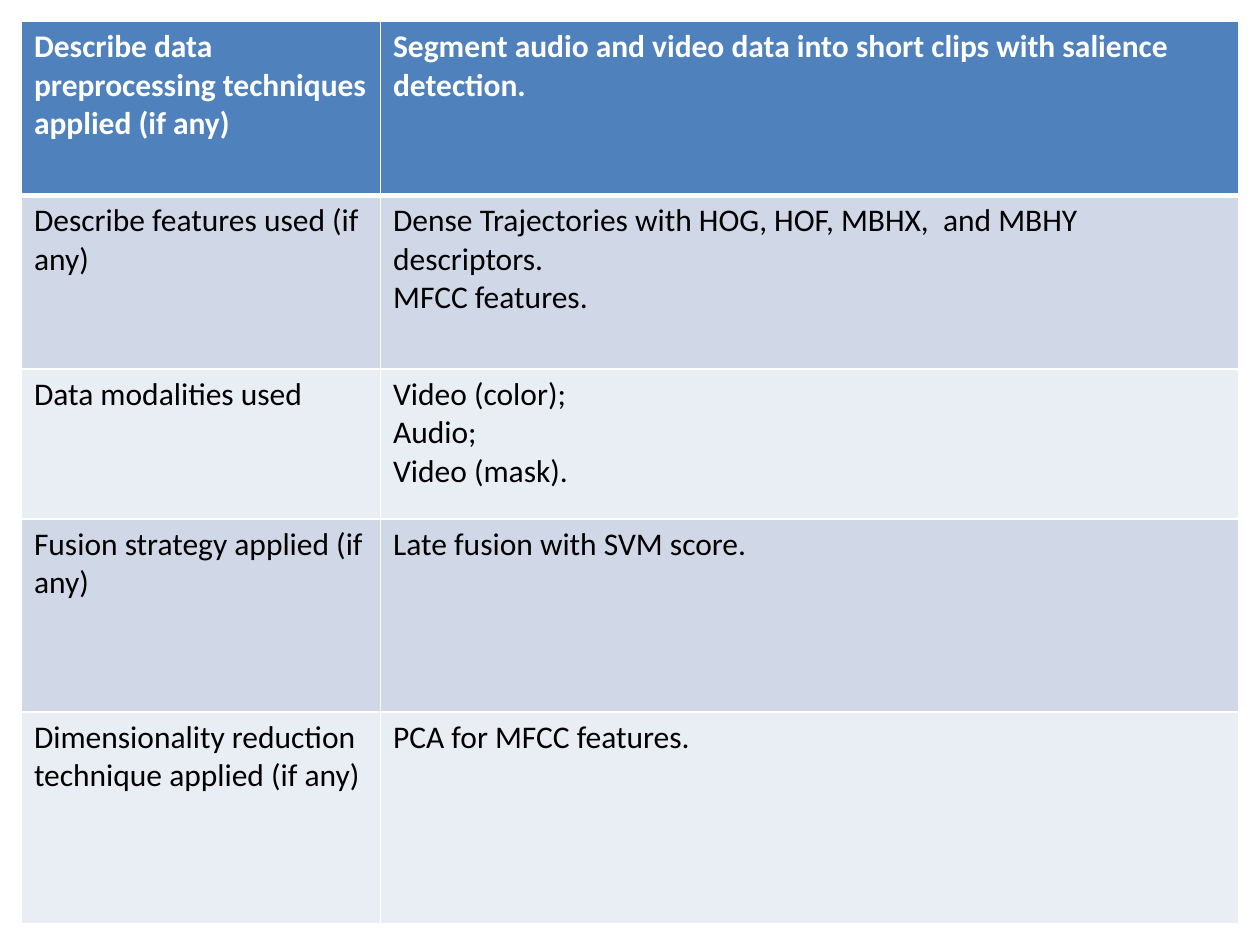
from dataclasses import dataclass

from lxml.etree import SubElement
from pptx import Presentation
from pptx.dml.color import RGBColor
from pptx.oxml.ns import qn
from pptx.util import Inches, Pt


@dataclass(frozen=True)
class Theme:
    font: str = "Calibri"
    text_size: int = 18
    header_fill: str = "4F81BD"
    header_text: str = "FFFFFF"
    body_text: str = "000000"
    bands: tuple = ("D0D8E8", "E9EDF4")
    rule: str = "FFFFFF"
    thin_rule: int = 1
    header_rule: int = 3


THEME = Theme()
COLUMN_WIDTHS = (2.85, 6.81)
ROW_HEIGHTS = (1.38, 1.38, 1.19, 1.53, 1.68)

# Each row: the question, then the paragraphs of its answer
METHOD_ROWS = (
    ("Describe data preprocessing techniques applied (if any)",
     ["Segment audio and video data into short clips with salience detection."]),
    ("Describe features used (if any)",
     ["Dense Trajectories with HOG, HOF, MBHX,  and MBHY descriptors.",
      "MFCC features."]),
    ("Data modalities used",
     ["Video (color);", "Audio;", "Video (mask)."]),
    ("Fusion strategy applied (if any)",
     ["Late fusion with SVM score."]),
    ("Dimensionality reduction technique applied (if any)",
     ["PCA for MFCC features."]),
)


def write_text(frame, paragraphs, *, color, bold=False, size=THEME.text_size):
    """Fill a text frame with equally formatted paragraphs."""
    for index, text in enumerate(paragraphs):
        paragraph = frame.paragraphs[0] if index == 0 else frame.add_paragraph()
        run = paragraph.add_run()
        run.text = text
        run.font.name = THEME.font
        run.font.size = Pt(size)
        run.font.bold = bold
        run.font.color.rgb = RGBColor.from_string(color)


def set_borders(cell, *, top, bottom):
    """Draw the four cell rules; side rules are always thin."""
    properties = cell._tc.get_or_add_tcPr()
    widths = {"L": THEME.thin_rule, "R": THEME.thin_rule, "T": top, "B": bottom}
    for side, width in widths.items():
        line = SubElement(properties, qn(f"a:ln{side}"), w=str(Pt(width)))
        fill = SubElement(line, qn("a:solidFill"))
        SubElement(fill, qn("a:srgbClr"), val=THEME.rule)


def format_cell(cell, row_index):
    # Borders come before the fill in the cell properties
    set_borders(
        cell,
        top=THEME.header_rule if row_index == 1 else THEME.thin_rule,
        bottom=THEME.header_rule if row_index == 0 else THEME.thin_rule,
    )
    band = THEME.bands[(row_index - 1) % len(THEME.bands)]
    cell.fill.solid()
    cell.fill.fore_color.rgb = RGBColor.from_string(
        THEME.header_fill if row_index == 0 else band)


def add_method_table(slide, left, top):
    table = slide.shapes.add_table(
        len(ROW_HEIGHTS), len(COLUMN_WIDTHS), left, top,
        Inches(sum(COLUMN_WIDTHS)), Inches(sum(ROW_HEIGHTS))).table
    for column, width in zip(table.columns, COLUMN_WIDTHS):
        column.width = Inches(width)
    for row, height in zip(table.rows, ROW_HEIGHTS):
        row.height = Inches(height)

    for row_index, (question, answer) in enumerate(METHOD_ROWS):
        is_header = row_index == 0
        for column_index, paragraphs in enumerate(([question], answer)):
            cell = table.cell(row_index, column_index)
            format_cell(cell, row_index)
            write_text(
                cell.text_frame, paragraphs, bold=is_header,
                color=THEME.header_text if is_header else THEME.body_text)


def main():
    presentation = Presentation()
    presentation.slide_width = Inches(10)
    presentation.slide_height = Inches(7.5)
    # The slide has no title, so it uses the blank layout
    slide = presentation.slides.add_slide(presentation.slide_layouts[6])
    add_method_table(slide, Inches(0.17), Inches(0.17))
    presentation.save("out.pptx")


if __name__ == "__main__":
    main()
